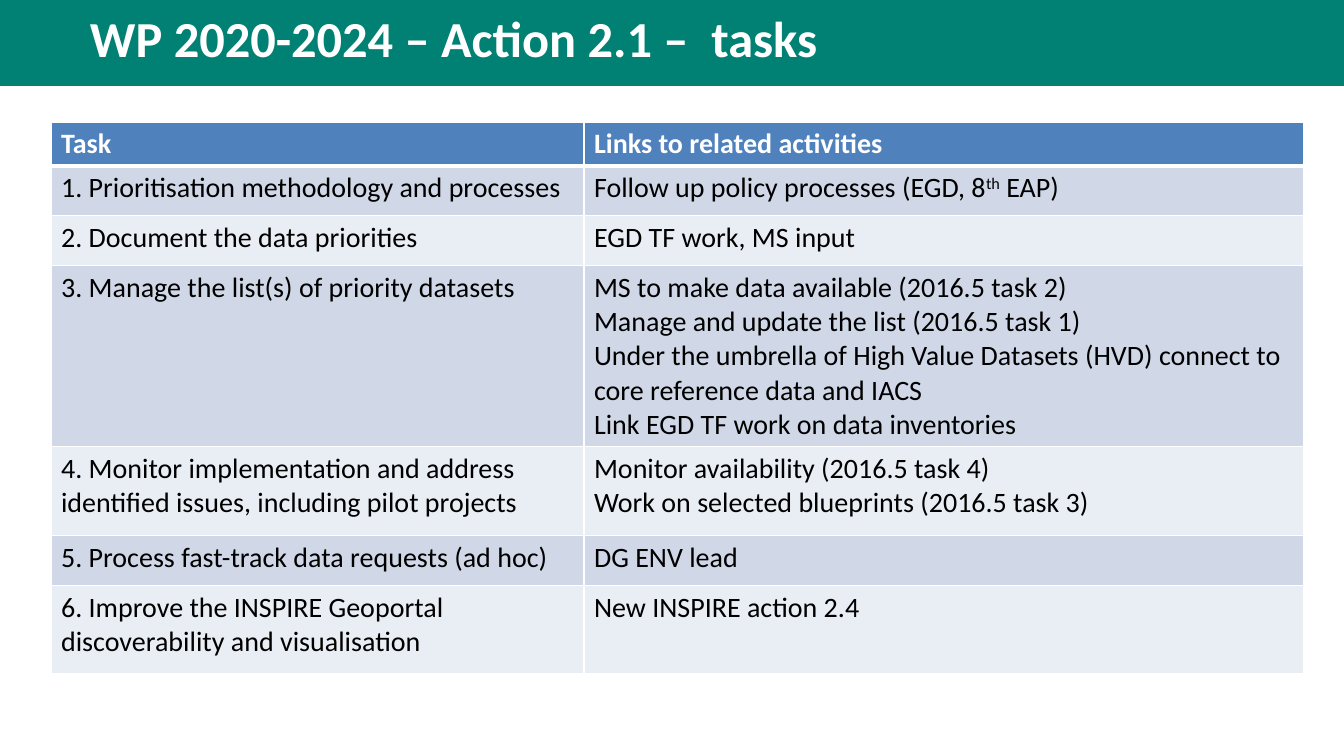
import pptx
import pptx.dml.color
import pptx.enum.shapes
import pptx.enum.text
import pptx.oxml
import pptx.oxml.ns
import pptx.util

RGBColor = pptx.dml.color.RGBColor
TEAL = RGBColor(0x00, 0x81, 0x73)
BLUE = RGBColor(0x4F, 0x81, 0xBD)
BAND_DARK = RGBColor(0xD0, 0xD8, 0xE8)
BAND_LIGHT = RGBColor(0xE9, 0xED, 0xF4)
WHITE = RGBColor(0xFF, 0xFF, 0xFF)
BLACK = RGBColor(0x00, 0x00, 0x00)
FONT = "Calibri"
PX = 914400 / 100.8


def px(length):
    """Turn whole pixels into EMU."""
    return pptx.util.Emu(round(length * PX))


def set_font(span, size, colour, bold):
    span.font.name = FONT
    span.font.size = pptx.util.Pt(size)
    span.font.color.rgb = colour
    span.font.bold = bold


deck = pptx.Presentation()
deck.slide_width, deck.slide_height = px(1344), px(756)
page = deck.slides.add_slide(deck.slide_layouts[6])

# Title band
band = page.shapes.add_shape(
    pptx.enum.shapes.MSO_SHAPE.RECTANGLE, 0, 0, px(1344), px(86))
band.shadow.inherit = False
band.fill.solid()
band.fill.fore_color.rgb = TEAL
band.line.fill.background()

title = page.shapes.add_textbox(px(80), 0, px(1264), px(75))
title.text_frame.word_wrap = True
title.text_frame.vertical_anchor = pptx.enum.text.MSO_ANCHOR.MIDDLE
title.text_frame.text = "WP 2020-2024 – Action 2.1 –  tasks"
set_font(title.text_frame.paragraphs[0].runs[0], 36, WHITE, True)

# Task table: height, task, related activities (one paragraph a line)
ROWS = [
    (43, "Task", "Links to related activities"),
    (50, "1. Prioritisation methodology and processes",
     "Follow up policy processes (EGD, 8"),
    (50, "2. Document the data priorities", "EGD TF work, MS input"),
    (181, "3. Manage the list(s) of priority datasets",
     "MS to make data available (2016.5 task 2)\n"
     "Manage and update the list (2016.5 task 1)\n"
     "Under the umbrella of High Value Datasets (HVD) connect to "
     "core reference data and IACS\n"
     "Link EGD TF work on data inventories"),
    (89, "4. Monitor implementation and address identified issues, "
     "including pilot projects",
     "Monitor availability (2016.5 task 4)\n"
     "Work on selected blueprints (2016.5 task 3)"),
    (50, "5. Process fast-track data requests (ad hoc)", "DG ENV lead"),
    (88, "6. Improve the INSPIRE Geoportal discoverability and visualisation",
     "New INSPIRE action 2.4"),
]
COLUMN_WIDTHS = [533, 720]

table = page.shapes.add_table(
    len(ROWS), len(COLUMN_WIDTHS), px(51), px(122),
    px(sum(COLUMN_WIDTHS)), px(sum(row[0] for row in ROWS))).table
for column, width in zip(table.columns, COLUMN_WIDTHS):
    column.width = px(width)

for row_index, (height, *texts) in enumerate(ROWS):
    table.rows[row_index].height = px(height)
    is_header = row_index == 0
    if is_header:
        fill = BLUE
    else:
        fill = BAND_DARK if row_index % 2 else BAND_LIGHT
    for column_index, text in enumerate(texts):
        cell = table.cell(row_index, column_index)
        cell.text_frame.text = text
        if (row_index, column_index) == (1, 1):
            para = cell.text_frame.paragraphs[0]
            ordinal = para.add_run()
            ordinal.text = "th"
            ordinal.font._element.set("baseline", "30000")
            para.add_run().text = " EAP)"
        for para in cell.text_frame.paragraphs:
            for span in para.runs:
                set_font(span, 20, WHITE if is_header else BLACK, is_header)

        # Borders come before the fill in the cell properties
        properties = cell._tc.get_or_add_tcPr()
        for side in ("L", "R", "T", "B"):
            thick = (is_header and side == "B") or (row_index == 1 and side == "T")
            properties.append(pptx.oxml.parse_xml(
                f'<a:ln{side} {pptx.oxml.ns.nsdecls("a")} w="{38100 if thick else 12700}">'
                f'<a:solidFill><a:srgbClr val="{WHITE}"/></a:solidFill></a:ln{side}>'))
        cell.fill.solid()
        cell.fill.fore_color.rgb = fill

deck.save("out.pptx")
